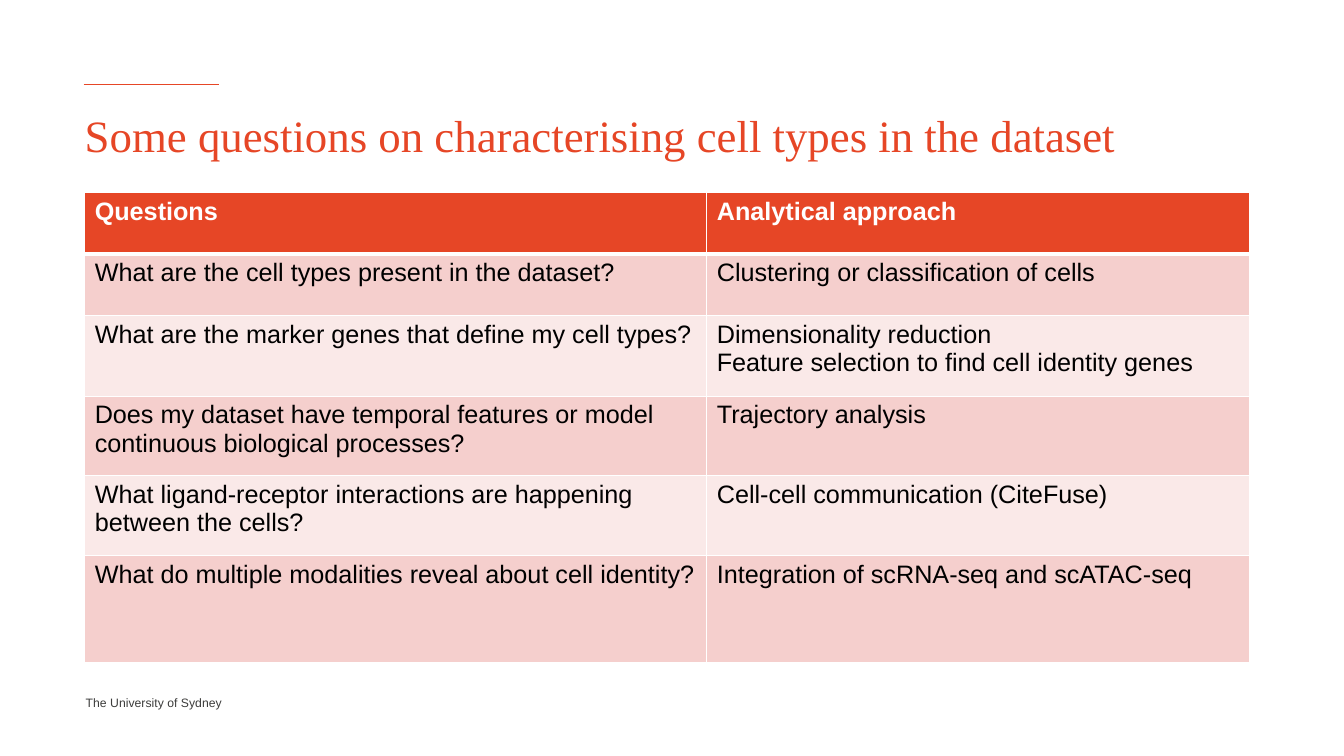
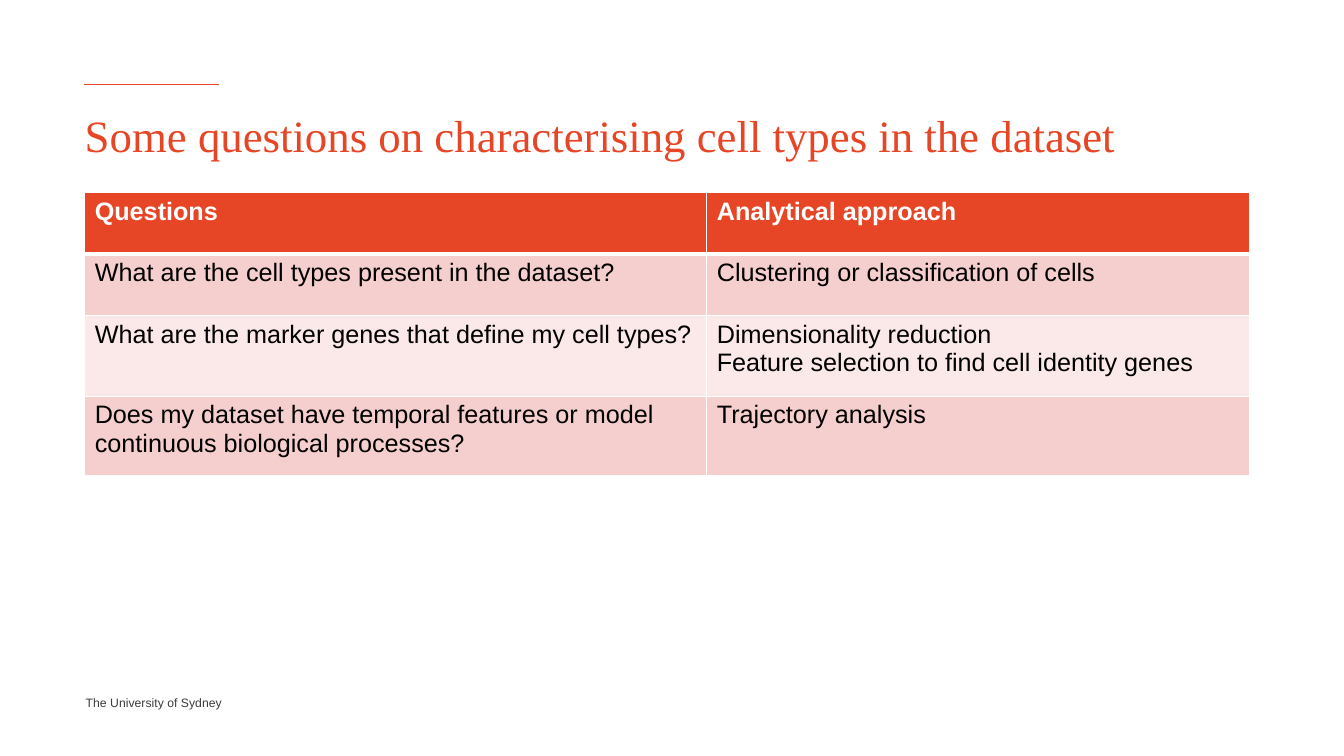
from lxml import etree
from pptx import Presentation
from pptx.dml.color import RGBColor
from pptx.enum.shapes import MSO_CONNECTOR as Connector
from pptx.oxml import parse_xml
from pptx.oxml.ns import nsdecls, qn
from pptx.util import Inches, Pt

COLORS = {
    "accent": "E64626",
    "footer": "3C3C3B",
    "band_dark": "F5CFCD",
    "band_light": "FAE9E8",
    "white": "FFFFFF",
    "black": "000000",
}
TITLE = "Some questions on characterising cell types in the dataset"
FOOTER = "The University of Sydney"
HEADER = ("Questions", "Analytical approach")
QUESTIONS = [
    (0.61, "What are the cell types present in the dataset?",
     "Clustering or classification of cells"),
    (0.8, "What are the marker genes that define my cell types?",
     "Dimensionality reduction\nFeature selection to find cell identity genes"),
    (0.79, "Does my dataset have temporal features or model continuous biological processes?",
     "Trajectory analysis"),
    (0.79, "What ligand-receptor interactions are happening between the cells?",
     "Cell-cell communication (CiteFuse)"),
    (1.06, "What do multiple modalities reveal about cell identity?",
     "Integration of scRNA-seq and scATAC-seq"),
]
HEADER_HEIGHT = 0.61
COLUMN_WIDTHS = (6.17, 5.38)
LEFT = 0.84


def write(frame, text, size=18, font="Arial", color="black", bold=False, margins=None):
    """Fill a text frame, one paragraph per line; margins are left, top, right, bottom."""
    frame.word_wrap = True
    if margins:
        (frame.margin_left, frame.margin_top,
         frame.margin_right, frame.margin_bottom) = map(Inches, margins)
    for index, line in enumerate(text.split("\n")):
        para = frame.add_paragraph() if index else frame.paragraphs[0]
        span = para.add_run()
        span.text = line
        span.font.size = Pt(size)
        span.font.name = font
        span.font.bold = bold
        span.font.color.rgb = RGBColor.from_string(COLORS[color])


def style_cell(cell, fill, top=1, bottom=1):
    """Give a cell a solid fill and white borders, with widths in points."""
    properties = cell._tc.get_or_add_tcPr()
    for side, width in (("L", 1), ("R", 1), ("T", top), ("B", bottom)):
        properties.append(parse_xml(
            f'<a:ln{side} {nsdecls("a")} w="{Pt(width)}"><a:solidFill>'
            f'<a:srgbClr val="{COLORS["white"]}"/></a:solidFill></a:ln{side}>'))
    cell.fill.solid()
    cell.fill.fore_color.rgb = RGBColor.from_string(COLORS[fill])


deck = Presentation()
deck.slide_width, deck.slide_height = Inches(13.33), Inches(7.5)
blank = deck.slide_layouts[6]

for question_count in (5, 3):
    page = deck.slides.add_slide(blank)
    questions = QUESTIONS[:question_count]

    footer = page.shapes.add_textbox(Inches(0.83), Inches(6.89), Inches(1.38), Inches(0.15))
    write(footer.text_frame, FOOTER, size=8.7, color="footer", margins=(0.02, 0.01, 0, 0))

    rule = page.shapes.add_connector(
        Connector.STRAIGHT, Inches(0.83), Inches(0.84), Inches(2.17), Inches(0.84))
    rule.line.color.rgb = RGBColor.from_string(COLORS["accent"])
    rule.line.width = Pt(0.75)
    etree.SubElement(rule._element.spPr, qn("a:effectLst"))

    title = page.shapes.add_textbox(Inches(LEFT), Inches(1.07), Inches(11.65), Inches(0.54))
    write(title.text_frame, TITLE, size=32, font="Times New Roman", color="accent",
          margins=(0, 0, 0, 0))

    heights = [HEADER_HEIGHT] + [height for height, *_ in questions]
    table = page.shapes.add_table(
        len(heights), len(COLUMN_WIDTHS), Inches(LEFT), Inches(1.91),
        Inches(sum(COLUMN_WIDTHS)), Inches(sum(heights))).table
    for column, width in zip(table.columns, COLUMN_WIDTHS):
        column.width = Inches(width)
    for row, height in zip(table.rows, heights):
        row.height = Inches(height)

    for column_index, heading in enumerate(HEADER):
        cell = table.cell(0, column_index)
        style_cell(cell, "accent", bottom=3)
        write(cell.text_frame, heading, color="white", bold=True)
    for row_index, (_, *texts) in enumerate(questions, start=1):
        band = "band_dark" if row_index % 2 else "band_light"
        for column_index, text in enumerate(texts):
            cell = table.cell(row_index, column_index)
            style_cell(cell, band, top=3 if row_index == 1 else 1)
            write(cell.text_frame, text)

deck.save("out.pptx")
